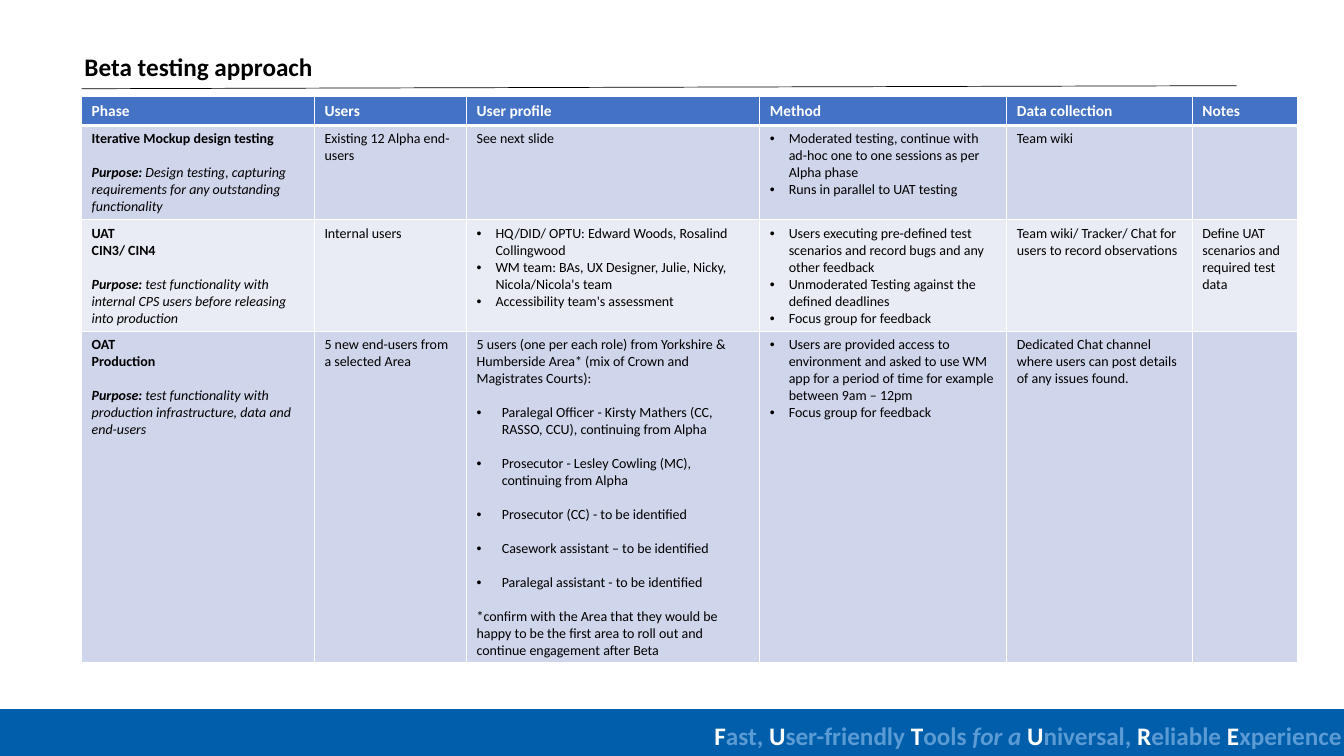
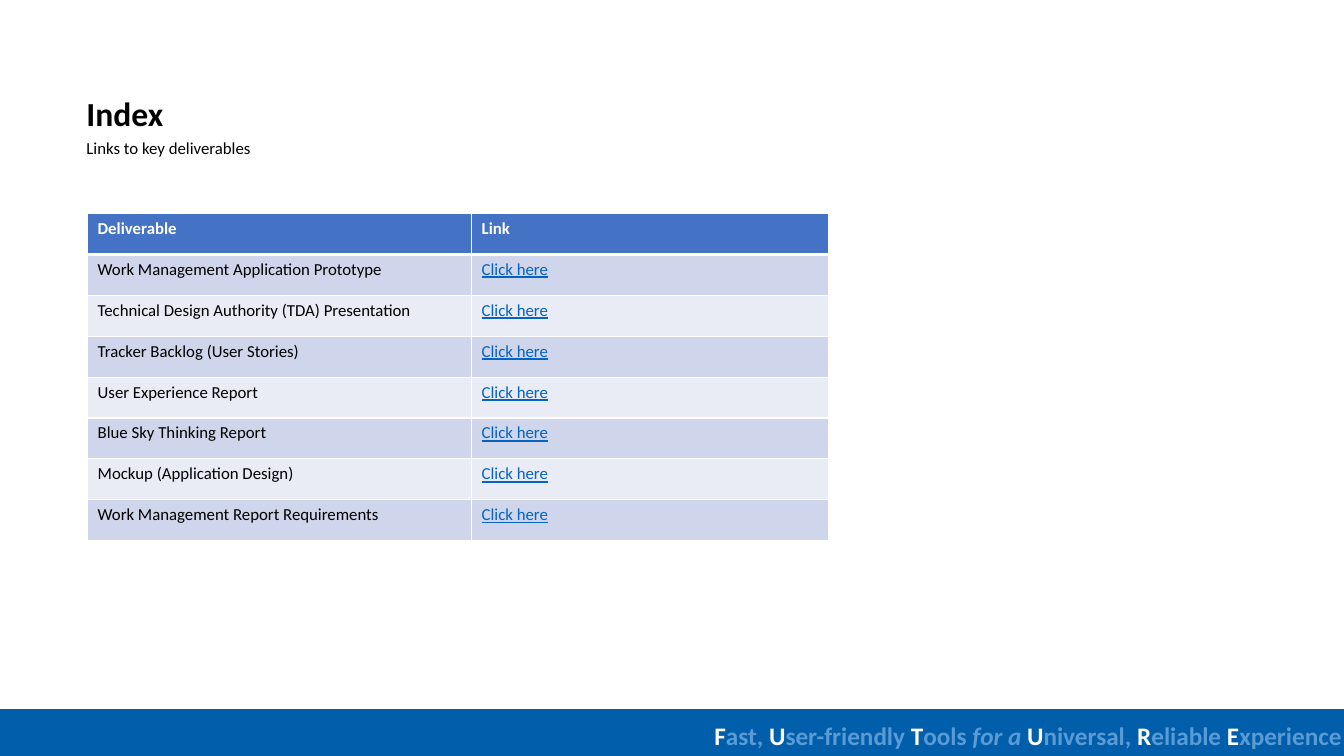
import pptx
import pptx.dml.color
import pptx.enum.shapes
import pptx.enum.text
import pptx.oxml.ns
import pptx.util
from lxml import etree

Pt = pptx.util.Pt
qn = pptx.oxml.ns.qn
ANCHOR = pptx.enum.text.MSO_ANCHOR

COLORS = {
    "band": "005EAA", "tagline": "5B9BD5", "header": "4472C4", "odd": "CFD5EA",
    "even": "E9EBF5", "white": "FFFFFF", "text": "000000", "link": "0563C1",
}
FONT = "Calibri"
SLIDE_WIDTH, SLIDE_HEIGHT = 960, 540
BLANK_LINE = 12.2


# Content: a cell is a list of paragraphs; a paragraph has runs and a format
def para(*runs, gap=0, indent=0):
    """A run is a string or a (text, format) pair; indent makes a bullet."""
    pairs = [(run, {}) if isinstance(run, str) else run for run in runs]
    return {"runs": pairs, "gap": gap, "indent": indent}


def bullets(*texts, gap=0, indent=13.5):
    return [para(text, gap=gap, indent=indent) for text in texts]


def phase(*names, purpose):
    return [para((name, {"bold": True})) for name in names] + [
        para(("Purpose: ", {"bold": True, "italic": True}), (purpose, {"italic": True}), gap=BLANK_LINE)]


INITIAL = {"color": "white"}
TAGLINE = [para(
    ("F", INITIAL), "ast, ", ("U", INITIAL), "ser-friendly ", ("T", INITIAL), "ools ",
    ("for a ", {"italic": True}), ("U", INITIAL), "niversal, ", ("R", INITIAL),
    "eliable ", ("E", INITIAL), "xperience")]

TESTING_TITLE = "Beta testing approach"
TESTING_HEADER = ["Phase", "Users", "User profile", "Method", "Data collection", "Notes"]
TESTING_ROWS = [
    [
        phase("Iterative Mockup design testing",
              purpose="Design testing, capturing requirements for any outstanding functionality"),
        "Existing 12 Alpha end- users",
        "See next slide",
        bullets("Moderated testing, continue with ad-hoc one to one sessions as per Alpha phase",
                "Runs in parallel to UAT testing"),
        "Team wiki",
        "",
    ],
    [
        phase("UAT", "CIN3/ CIN4",
              purpose="test functionality with internal CPS users before releasing into production"),
        "Internal users",
        bullets("HQ/DID/ OPTU: Edward Woods, Rosalind Collingwood",
                "WM team: BAs, UX Designer, Julie, Nicky, Nicola/Nicola's team",
                "Accessibility team's assessment"),
        bullets("Users executing pre-defined test scenarios and record bugs and any other feedback",
                "Unmoderated Testing against the defined deadlines",
                "Focus group for feedback"),
        "Team wiki/ Tracker/ Chat for users to record observations",
        "Define UAT scenarios and required test data",
    ],
    [
        phase("OAT", "Production",
              purpose="test functionality with production infrastructure, data and end-users"),
        "5 new end-users from a selected Area",
        [para("5 users (one per each role) from Yorkshire & Humberside Area* "
              "(mix of Crown and Magistrates Courts):")]
        + bullets("Paralegal Officer - Kirsty Mathers (CC, RASSO, CCU), continuing from Alpha",
                  "Prosecutor - Lesley Cowling (MC), continuing from Alpha",
                  "Prosecutor (CC) - to be identified",
                  "Casework assistant – to be identified",
                  "Paralegal assistant - to be identified",
                  gap=BLANK_LINE, indent=18)
        + [para("*confirm with the Area that they would be happy to be the first area "
                "to roll out and continue engagement after Beta", gap=BLANK_LINE)],
        bullets("Users are provided access to environment and asked to use WM app "
                "for a period of time for example between 9am – 12pm",
                "Focus group for feedback"),
        "Dedicated Chat channel where users can post details of any issues found.",
        "",
    ],
]

INDEX_TITLE = "Index"
INDEX_SUBTITLE = "Links to key deliverables"
INDEX_HEADER = ["Deliverable", "Link"]
LINK = [para(("Click here", {"color": "link", "underline": True}))]
DELIVERABLES = [
    "Work Management Application Prototype",
    "Technical Design Authority (TDA) Presentation",
    "Tracker Backlog (User Stories)",
    "User Experience Report",
    "Blue Sky Thinking Report",
    "Mockup (Application Design)",
    "Work Management Report Requirements",
]


# Shared drawing functions
def rgb(name):
    return pptx.dml.color.RGBColor.from_string(COLORS[name])


def write(frame, content, size=12, color="text", bold=False, line_spacing=None):
    """Fill a text frame with a string or a list of paragraphs."""
    paragraphs = [para(content)] if isinstance(content, str) else content
    for number, item in enumerate(paragraphs):
        paragraph = frame.add_paragraph() if number else frame.paragraphs[0]
        if item["indent"]:
            properties = paragraph._p.get_or_add_pPr()
            properties.set("marL", str(Pt(item["indent"])))
            properties.set("indent", str(-Pt(item["indent"])))
            etree.SubElement(properties, qn("a:buFont")).set("typeface", "Arial")
            etree.SubElement(properties, qn("a:buChar")).set("char", "•")
        if item["gap"]:
            paragraph.space_before = Pt(item["gap"])
        if line_spacing:
            paragraph.line_spacing = line_spacing
        paragraph.font.size = Pt(size)
        for text, style in item["runs"]:
            run = paragraph.add_run()
            run.text = text
            run.font.name = FONT
            run.font.size = Pt(size)
            run.font.bold = style.get("bold", bold)
            run.font.italic = style.get("italic", False)
            run.font.underline = style.get("underline", False)
            run.font.color.rgb = rgb(style.get("color", color))


def add_label(slide, content, left, top, width, height, anchor=ANCHOR.TOP, wrap=True, **style):
    frame = slide.shapes.add_textbox(Pt(left), Pt(top), Pt(width), Pt(height)).text_frame
    frame.word_wrap = wrap
    frame.vertical_anchor = anchor
    write(frame, content, **style)
    return frame


def set_borders(cell, **widths):
    properties = cell._tc.get_or_add_tcPr()
    for side in ("L", "R", "T", "B"):
        line = etree.SubElement(properties, qn("a:ln" + side), w=str(Pt(widths.get(side, 1))))
        fill = etree.SubElement(line, qn("a:solidFill"))
        etree.SubElement(fill, qn("a:srgbClr"), val=COLORS["white"])


def add_grid(slide, header, rows, left, top, widths, heights, header_size, body_size):
    table = slide.shapes.add_table(
        len(heights), len(widths), Pt(left), Pt(top), Pt(sum(widths)), Pt(sum(heights))).table
    table.horz_banding = False
    for column, width in zip(table.columns, widths):
        column.width = Pt(width)
    for row, height in zip(table.rows, heights):
        row.height = Pt(height)
    for r, contents in enumerate([header] + rows):
        for c, content in enumerate(contents):
            cell = table.cell(r, c)
            set_borders(cell, T=3 if r == 1 else 1, B=3 if r == 0 else 1)
            cell.fill.solid()
            cell.fill.fore_color.rgb = rgb("header" if r == 0 else "odd" if r % 2 else "even")
            if r == 0:
                write(cell.text_frame, content, size=header_size, color="white", bold=True)
            elif content:
                write(cell.text_frame, content, size=body_size)


def add_slide(deck):
    """A blank slide with the footer band and tagline."""
    slide = deck.slides.add_slide(deck.slide_layouts[6])
    band_top = 507.2
    band = slide.shapes.add_shape(
        pptx.enum.shapes.MSO_SHAPE.RECTANGLE, 0, Pt(band_top),
        Pt(SLIDE_WIDTH), Pt(SLIDE_HEIGHT - band_top))
    band.shadow.inherit = False
    band.fill.solid()
    band.fill.fore_color.rgb = rgb("band")
    band.line.color.rgb = rgb("band")
    band.line.width = Pt(1)
    tagline_left, tagline_top = 503.2, 511.2
    tagline = add_label(slide, TAGLINE, tagline_left, tagline_top, SLIDE_WIDTH - tagline_left,
                        SLIDE_HEIGHT - tagline_top, wrap=False, size=18, color="tagline", bold=True)
    tagline.margin_right = 0
    return slide


def build_testing(deck):
    slide = add_slide(deck)
    add_label(slide, TESTING_TITLE, 53.3, 33.1, 258, 29, size=18, bold=True)
    rule = slide.shapes.add_connector(
        pptx.enum.shapes.MSO_CONNECTOR.STRAIGHT, Pt(58.3), Pt(63.4), Pt(883.4), Pt(61.2))
    rule.line.color.rgb = rgb("text")
    rule.line.width = Pt(0.5)
    etree.SubElement(rule._element.spPr, qn("a:effectLst"))
    add_grid(slide, TESTING_HEADER, TESTING_ROWS, 58.3, 69.1,
             widths=[166.3, 108.7, 209.5, 176.4, 132.5, 74.9],
             heights=[20.2, 67.5, 79.2, 235.4], header_size=11, body_size=10)


def build_index(deck):
    slide = add_slide(deck)
    add_label(slide, INDEX_TITLE, 54.7, 56.2, 900, 43.2, anchor=ANCHOR.BOTTOM,
              size=24, bold=True, line_spacing=0.9)
    add_label(slide, INDEX_SUBTITLE, 54.7, 95, 861, 21.6)
    rows = [[name, LINK] for name in DELIVERABLES]
    add_grid(slide, INDEX_HEADER, rows, 62.6, 152.6, widths=[274.3, 254.9],
             heights=[29.2] * (len(rows) + 1), header_size=12, body_size=12)


def main():
    deck = pptx.Presentation()
    deck.slide_width, deck.slide_height = Pt(SLIDE_WIDTH), Pt(SLIDE_HEIGHT)
    build_testing(deck)
    build_index(deck)
    deck.save("out.pptx")


if __name__ == "__main__":
    main()
